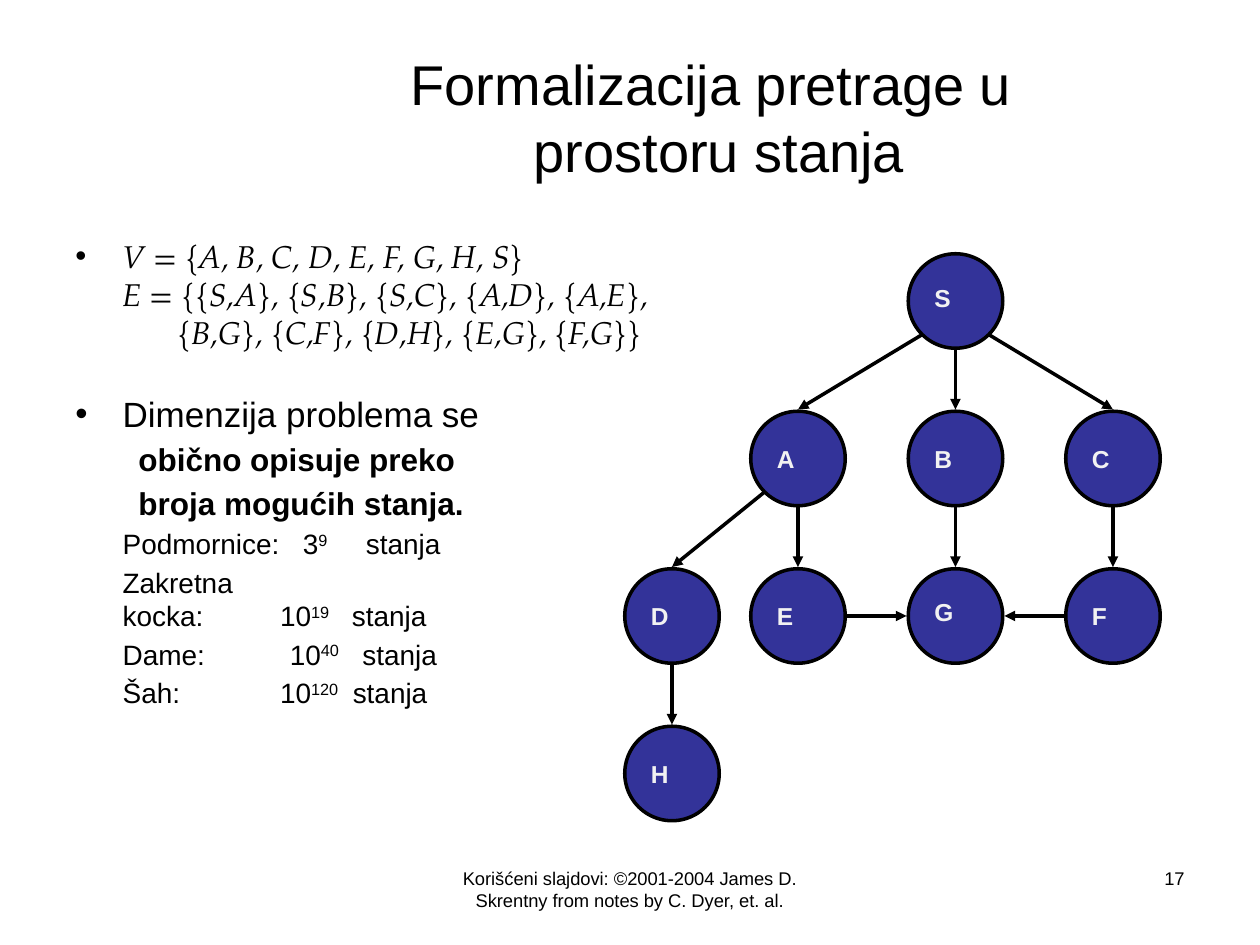
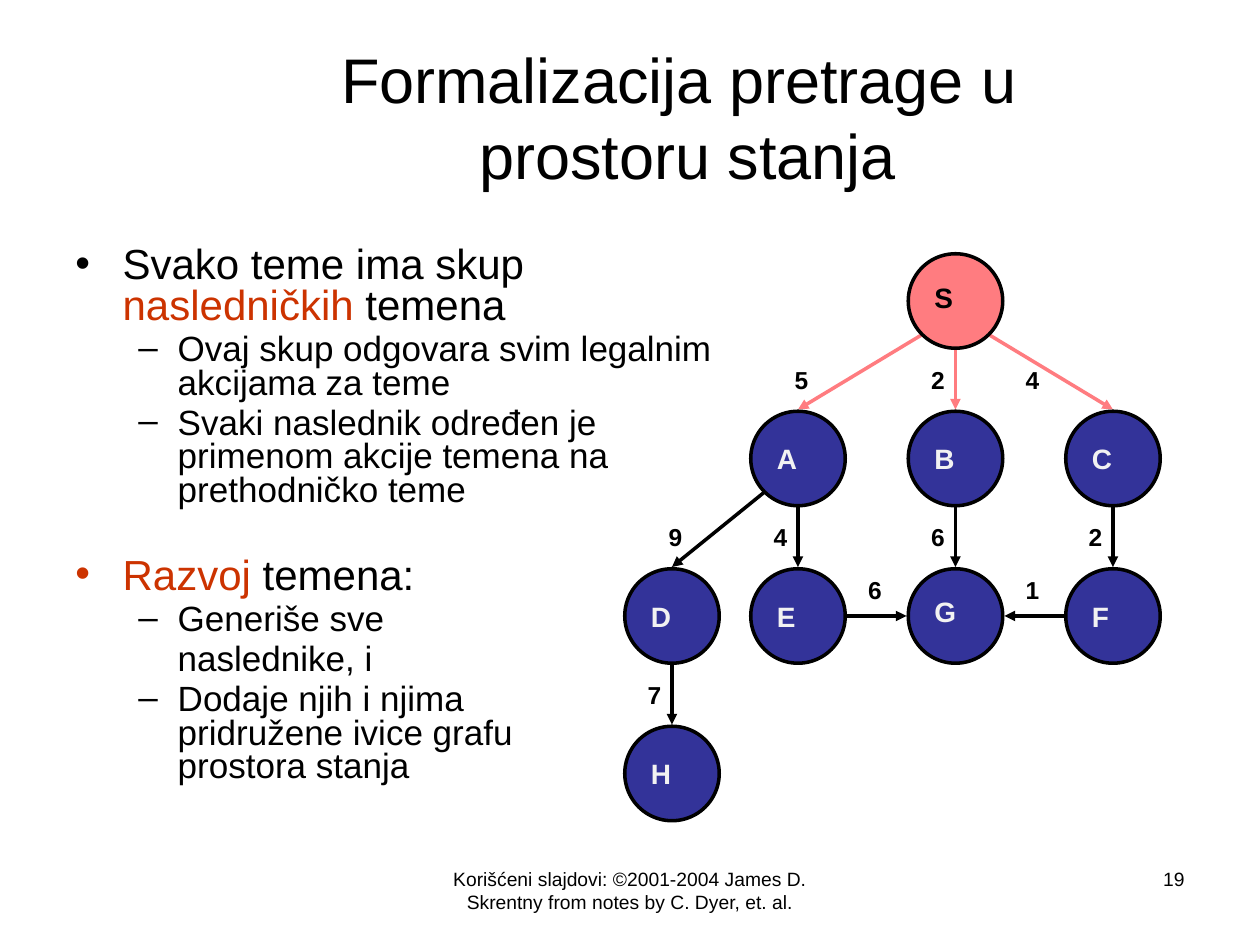
import pptx
import pptx.dml.color
import pptx.enum.shapes
import pptx.enum.text
import pptx.oxml.ns
import pptx.util
from lxml import etree

Pt = pptx.util.Pt
RGBColor = pptx.dml.color.RGBColor
ALIGN = pptx.enum.text.PP_ALIGN
ANCHOR = pptx.enum.text.MSO_ANCHOR

BLACK = RGBColor(0x00, 0x00, 0x00)
PALE = RGBColor(0xF2, 0xF2, 0xF2)
NAVY = RGBColor(0x33, 0x33, 0x99)
PINK = RGBColor(0xFF, 0x7C, 0x80)
RUST = RGBColor(0xCC, 0x33, 0x00)
SANS, SERIF = "Arial", "TeX Gyre Pagella"

# ---- Content ----
TITLE = "Formalizacija pretrage u \nprostoru stanja"
FOOTER = "Korišćeni slajdovi: ©2001-2004 James D. Skrentny from notes by C. Dyer, et. al."

# Paragraph kinds: left margin, first-line indent, bullet
POINT = {"margin": 27, "indent": -27, "bullet": "•"}
SUBPOINT = {"margin": 58.5, "indent": -22.5, "bullet": "–"}
SUBPOINT_MORE = {"margin": 58.5}
STATEMENT = {"margin": 36}
SET_STYLE = {"size": 18, "name": SERIF, "italic": True}
BOLD_18 = {"size": 18, "bold": True}


def state_count(problem, base, exponent, base_at, unit_at, **extra):
    """A row: problem name, number of states as a power, unit, set on tab stops."""
    plain = {"size": 16}
    return {"runs": [(f"\t{problem}\t{base}", plain), (exponent, {**plain, "baseline": 30000}),
                     ("\tstanja", plain)],
            "tabs": (27, base_at, unit_at), **extra}


FORMAL_BODY = [
    {**POINT, "runs": [("V = {A, B, C, D, E, F, G, H, S}\n"
                        "E = {{S,A}, {S,B}, {S,C}, {A,D}, {A,E},", SET_STYLE)]},
    {"margin": 58.5, "before": 0,
     "runs": [("{B,G}, {C,F}, {D,H}, {E,G}, {F,G}}", SET_STYLE)]},
    {**POINT, "before": 24, "runs": [("Dimenzija problema se", {"size": 20})]},
    {**STATEMENT, "runs": [("obično opisuje preko", BOLD_18)]},
    {**STATEMENT, "runs": [("broja mogućih stanja.", BOLD_18)]},
    state_count("Podmornice:", "3", "9", 130, 166),
    {"margin": 27, "runs": [("Zakretna", {"size": 16})]},
    state_count("kocka:", "10", "19", 117, 158, before=0),
    state_count("Dame:", "10", "40", 122.5, 164),
    state_count("Šah:", "10", "120", 117, 158.5),
]

SUCCESSOR_BODY = [
    {**POINT, "runs": [("Svako teme ima skup ", {"size": 24}),
                       ("nasledničkih ", {"size": 24, "color": RUST}),
                       ("temena", {"size": 24})]},
    {**SUBPOINT, "runs": [("Ovaj skup odgovara svim legalnim akcijama za teme", {"size": 20})]},
    {**SUBPOINT, "runs": [("Svaki naslednik određen je primenom akcije temena na "
                           "prethodničko teme", {"size": 20})]},
    {**POINT, "before": 28, "runs": [("Razvoj ", {"size": 24, "color": RUST}),
                                     ("temena:", {"size": 24})]},
    {**SUBPOINT, "runs": [("Generiše sve", {"size": 20})]},
    {**SUBPOINT_MORE, "runs": [("naslednike, i", {"size": 20})]},
    {**SUBPOINT, "runs": [("Dodaje njih i njima \npridružene ivice grafu \nprostora stanja",
                           {"size": 20})]},
]

# Graph: centre of each vertex, and cost of each edge
COLUMNS, ROWS = (384, 456, 546, 636), (172, 262, 352, 442)
VERTICES = {"S": (2, 0), "A": (1, 1), "B": (2, 1), "C": (3, 1),
            "D": (0, 2), "E": (1, 2), "G": (2, 2), "F": (3, 2), "H": (0, 3)}
LETTER_SPACING = {"S": 0.75, "G": 0.65}
EDGES = {"SA": 5, "SB": 2, "SC": 4, "AD": 9, "AE": 4,
         "BG": 6, "CF": 2, "EG": 6, "FG": 1, "DH": 7}
RADIUS, GAP, DIAGONAL = 27, 1, 19.5

SLIDES = [
    {"number": "17", "title_left": 138, "title_size": 32, "footer_size": 10.5,
     "body": FORMAL_BODY, "body_box": (36, 132, 486, 363), "line_spacing": None,
     "letter_size": 14, "costs": False, "expanded": ""},
    {"number": "19", "title_left": 102, "title_size": 36, "footer_size": 11,
     "body": SUCCESSOR_BODY, "body_box": (36, 138, 396, 357), "line_spacing": 0.8,
     "letter_size": 16, "costs": True, "expanded": "S"},
]


# ---- Text ----
def add_runs(paragraph, runs):
    for text, style in runs:
        style = {"name": SANS, "color": BLACK, **style}
        for index, line in enumerate(text.split("\n")):
            if index:
                paragraph.add_line_break()
            run = paragraph.add_run()
            run.text = line
            for key, value in style.items():
                if key == "color":
                    run.font.color.rgb = value
                elif key == "baseline":
                    run.font._element.set("baseline", str(value))
                else:
                    setattr(run.font, key, Pt(value) if key == "size" else value)


def sub(parent, tag, **attributes):
    return etree.SubElement(parent, pptx.oxml.ns.qn(tag), attributes)


def add_text(shapes, box, runs, align=ALIGN.LEFT, anchor=ANCHOR.TOP, wrap=True):
    frame = shapes.add_textbox(*map(Pt, box)).text_frame
    frame.word_wrap = wrap
    frame.vertical_anchor = anchor
    frame.paragraphs[0].alignment = align
    add_runs(frame.paragraphs[0], runs)
    return frame


def add_body(shapes, box, items, line_spacing):
    frame = add_text(shapes, box, [])
    for index, item in enumerate(items):
        paragraph = frame.add_paragraph() if index else frame.paragraphs[0]
        paragraph.line_spacing = line_spacing
        size = item["runs"][0][1]["size"]
        paragraph.space_before = Pt(item.get("before", round(0.18 * size, 1)))
        properties = paragraph._p.get_or_add_pPr()
        properties.set("marL", str(Pt(item.get("margin", 0))))
        # LibreOffice drops the tab stops of a paragraph that states its indent
        if "indent" in item:
            properties.set("indent", str(Pt(item["indent"])))
        if "bullet" in item:
            sub(properties, "a:buFont", typeface=SANS)
            sub(properties, "a:buChar", char=item["bullet"])
        if "tabs" in item:
            stops = sub(properties, "a:tabLst")
            for stop in item["tabs"]:
                sub(stops, "a:tab", pos=str(Pt(stop)), algn="l")
        add_runs(paragraph, item["runs"])


# ---- Graph ----
def centre(vertex):
    column, row = VERTICES[vertex]
    return COLUMNS[column], ROWS[row]


def edge_layout(edge):
    """Start and end of the arrow, and top left of its cost label."""
    (x1, y1), (x2, y2) = map(centre, edge)
    side = (x2 > x1) - (x2 < x1)
    reach = RADIUS + GAP
    if y1 == y2:
        return ((x1 + side * reach, y1), (x2 - side * reach, y2),
                ((x1 + x2) / 2 - 12, y1 - RADIUS))
    start = (x1 + side * DIAGONAL, y1 + DIAGONAL) if side else (x1, y1 + reach)
    label_shift = {-1: -9, 0: -21, 1: -57}[side]
    return start, (x2, y2 - reach), (x2 + label_shift, y2 - RADIUS - 30)


def add_arrow(shapes, start, end, color):
    arrow = shapes.add_connector(pptx.enum.shapes.MSO_CONNECTOR.STRAIGHT,
                                 *map(Pt, start + end))
    arrow.line.color.rgb = color
    arrow.line.width = Pt(2)
    sub(arrow.line._get_or_add_ln(), "a:tailEnd", type="triangle")
    sub(arrow._element.spPr, "a:effectLst")


def add_vertex(shapes, vertex, fill, letter_style):
    x, y = centre(vertex)
    circle = shapes.add_shape(pptx.enum.shapes.MSO_SHAPE.OVAL, Pt(x - RADIUS), Pt(y - RADIUS),
                              Pt(2 * RADIUS), Pt(2 * RADIUS))
    circle.shadow.inherit = False
    circle.fill.solid()
    circle.fill.fore_color.rgb = fill
    circle.line.color.rgb = BLACK
    circle.line.width = Pt(2)
    frame = circle.text_frame
    frame.word_wrap = False
    frame.vertical_anchor = ANCHOR.MIDDLE
    letter = frame.paragraphs[0]
    letter.alignment = ALIGN.LEFT
    letter.line_spacing = LETTER_SPACING.get(vertex)
    add_runs(letter, [(vertex, letter_style)])


def add_graph(slide, letter_size, costs, expanded):
    shapes = slide.shapes.add_group_shape().shapes
    for edge, cost in EDGES.items():
        start, end, label = edge_layout(edge)
        add_arrow(shapes, start, end, PINK if edge[0] == expanded else BLACK)
        if costs:
            add_text(shapes, (*label, 22, 24), [(str(cost), {"size": 14, "bold": True})],
                     wrap=False)
    for vertex in VERTICES:
        fill, color = (PINK, BLACK) if vertex == expanded else (NAVY, PALE)
        add_vertex(shapes, vertex, fill, {"size": letter_size, "bold": True, "color": color})


def add_frame(slide, content):
    """Title, footer and slide number."""
    left = content["title_left"]
    add_text(slide.shapes, (left, 21.6, 684 - left, 90),
             [(TITLE, {"size": content["title_size"]})], ALIGN.CENTER, ANCHOR.MIDDLE)
    small = {"size": content["footer_size"]}
    add_text(slide.shapes, (246, 492, 228, 37.5), [(FOOTER, small)], ALIGN.CENTER)
    add_text(slide.shapes, (516, 492, 168, 37.5), [(content["number"], small)], ALIGN.RIGHT)


def main():
    deck = pptx.Presentation()
    deck.slide_width, deck.slide_height = Pt(720), Pt(540)
    for content in SLIDES:
        slide = deck.slides.add_slide(deck.slide_layouts[6])
        add_frame(slide, content)
        add_body(slide.shapes, content["body_box"], content["body"], content["line_spacing"])
        add_graph(slide, content["letter_size"], content["costs"], content["expanded"])
    deck.save("out.pptx")


if __name__ == "__main__":
    main()
